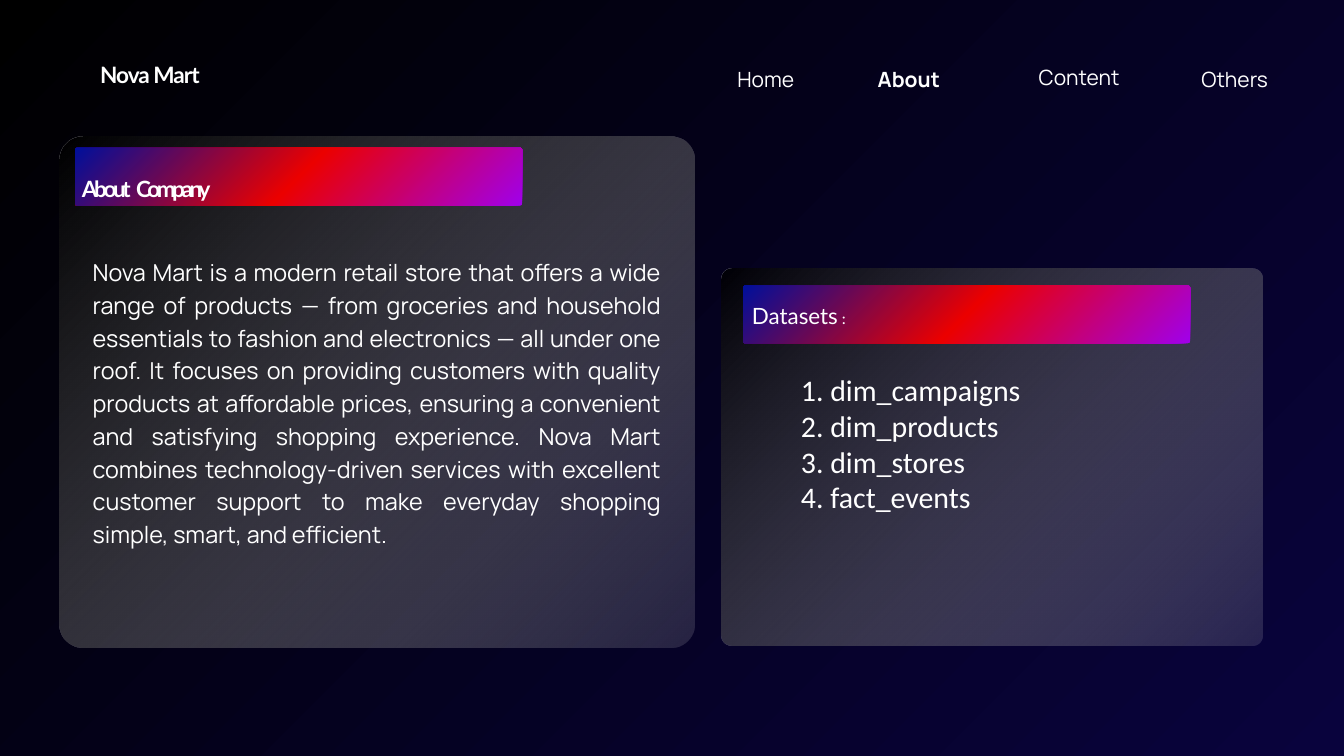
"""Build the Nova Mart company and datasets slide."""
import lxml.etree
import pptx
import pptx.dml.color
import pptx.enum.shapes
import pptx.enum.text
import pptx.oxml.ns
import pptx.util

Inches = pptx.util.Inches
Pt = pptx.util.Pt
qn = pptx.oxml.ns.qn
ALIGN = pptx.enum.text.PP_ALIGN
HUES = {
    "white": "FFFFFF", "black": "000000", "navy": "09033D", "grey": "DDDDDD",
    "blue": "000F9B", "red": "EB0000", "violet": "A000EB",
}
NIGHT = [(0, "black", 100), (100, "navy", 100)]
GLASS = [(0, "black", 78), (100, "grey", 15)]
GLOW = [(0, "blue", 100), (50, "red", 100), (100, "violet", 100)]
ABOUT = (
    "Nova Mart is a modern retail store that offers a wide range of products — "
    "from groceries and household essentials to fashion and electronics — all "
    "under one roof. It focuses on providing customers with quality products at "
    "affordable prices, ensuring a convenient and satisfying shopping experience. "
    "Nova Mart combines technology-driven services with excellent customer support "
    "to make everyday shopping simple, smart, and efficient."
)


def shade(fill, root, stops, angle=None):
    fill.gradient()
    grad = next(root.iter(qn("a:gradFill")))
    for child in list(grad):
        grad.remove(child)
    add = lxml.etree.SubElement
    row = add(grad, qn("a:gsLst"))
    for pos, hue, alpha in stops:
        stop = add(row, qn("a:gs"), pos=str(pos * 1000))
        tint = add(stop, qn("a:srgbClr"), val=HUES[hue])
        if alpha < 100:
            add(tint, qn("a:alpha"), val=str(alpha * 1000))
    if angle is None:
        way = add(grad, qn("a:path"), path="circle")
        add(way, qn("a:fillToRect"), r="100000", b="100000")
    else:
        add(grad, qn("a:lin"), ang=str(angle * 60000), scaled="0")


def add_panel(slide, box, curve, stops, angle=None):
    kind = pptx.enum.shapes.MSO_SHAPE.ROUNDED_RECTANGLE
    panel = slide.shapes.add_shape(kind, *map(Inches, box))
    panel.adjustments[0] = curve / min(box[2:])
    panel.shadow.inherit = False
    panel.line.fill.background()
    shade(panel.fill, panel.element, stops, angle)


def place(shape, box):
    shape.left, shape.top, shape.width, shape.height = map(Inches, box)


def write(shape, lines, align=ALIGN.LEFT, lead=None, inset=None):
    frame = shape.text_frame
    frame.word_wrap = True
    frame.vertical_anchor = pptx.enum.text.MSO_ANCHOR.TOP
    frame.auto_size = pptx.enum.text.MSO_AUTO_SIZE.SHAPE_TO_FIT_TEXT
    if inset is not None:
        frame.margin_left = frame.margin_right = Inches(inset)
        frame.margin_top = frame.margin_bottom = Inches(inset)
    for i, runs in enumerate(lines):
        para = frame.add_paragraph() if i else frame.paragraphs[0]
        para.alignment = align
        if lead:
            para.line_spacing = Pt(lead)
        for text, face, size, bold, track in runs:
            run = para.add_run()
            run.text = text
            font = run.font
            font.name, font.size, font.bold = face, Pt(size), bold
            font.color.rgb = pptx.dml.color.RGBColor.from_string(HUES["white"])
            if track:
                run.font._element.set("spc", str(round(track * 100)))


def add_text(slide, box, lines, **style):
    write(slide.shapes.add_textbox(*map(Inches, box)), lines, **style)


def add_menu(slide):
    brand = [("Nova Mart", "Lato", 24.2, True, -1.1)]
    add_text(slide, (1.49, 0.84, 2.94, 0.45), [brand], lead=33.9, inset=0)
    items = [
        ("Home", 10, 0.92, 1.82, ALIGN.RIGHT),
        ("About", 12.48, 0.92, 2.09, ALIGN.CENTER),
        ("Content", 15.01, 0.9, 2.1, ALIGN.CENTER),
        ("Others", 16.44, 0.92, 2.43, ALIGN.RIGHT),
    ]
    for name, left, top, width, align in items:
        runs = [(name, "Manrope", 22.5, name == "About", 0)]
        add_text(slide, (left, top, width, 0.45), [runs],
                 align=align, lead=31.5, inset=0)


def add_about(slide):
    add_panel(slide, (0.88, 2.03, 9.45, 7.6), 0.36, GLASS, 45)
    add_panel(slide, (1.12, 2.2, 6.65, 0.86), 0.03, GLOW)
    title = slide.shapes.title
    slide.shapes.element.append(title.element)
    place(title, (1.12, 1.84, 2.46, 1.04))
    parts = [("About", -3.6), (" ", -2.6), ("Company", -3.6)]
    runs = [(text, "Lato", 24, True, track) for text, track in parts]
    write(title, [runs], lead=80.8)
    add_text(slide, (1.28, 3.73, 8.65, 4.98),
             [[(ABOUT, "Manrope", 25, False, 0)]], align=ALIGN.JUSTIFY, lead=35)


def add_data(slide):
    add_panel(slide, (10.74, 4, 8.04, 5.61), 0.16, GLASS, 45)
    add_panel(slide, (11.06, 4.25, 6.65, 0.86), 0.03, GLOW)
    head = [("Datasets", "Lato", 24, False, 0), (" :", "Calibri", 18, False, 0)]
    add_text(slide, (11.09, 4.45, 2.42, 0.5), [head])
    names = ["dim_campaigns", "dim_products", "dim_stores", "fact_events"]
    lines = [[(f"{i}. {name}", "Calibri", 32, False, 0)]
             for i, name in enumerate(names, 1)]
    add_text(slide, (11.82, 5.48, 5.61, 2.26), lines)


def main():
    deck = pptx.Presentation()
    deck.slide_width, deck.slide_height = Inches(20), Inches(11.25)
    slide = deck.slides.add_slide(deck.slide_layouts[5])
    shade(slide.background.fill, slide.element, NIGHT)
    add_menu(slide)
    add_about(slide)
    add_data(slide)
    deck.save("out.pptx")


if __name__ == "__main__":
    main()
